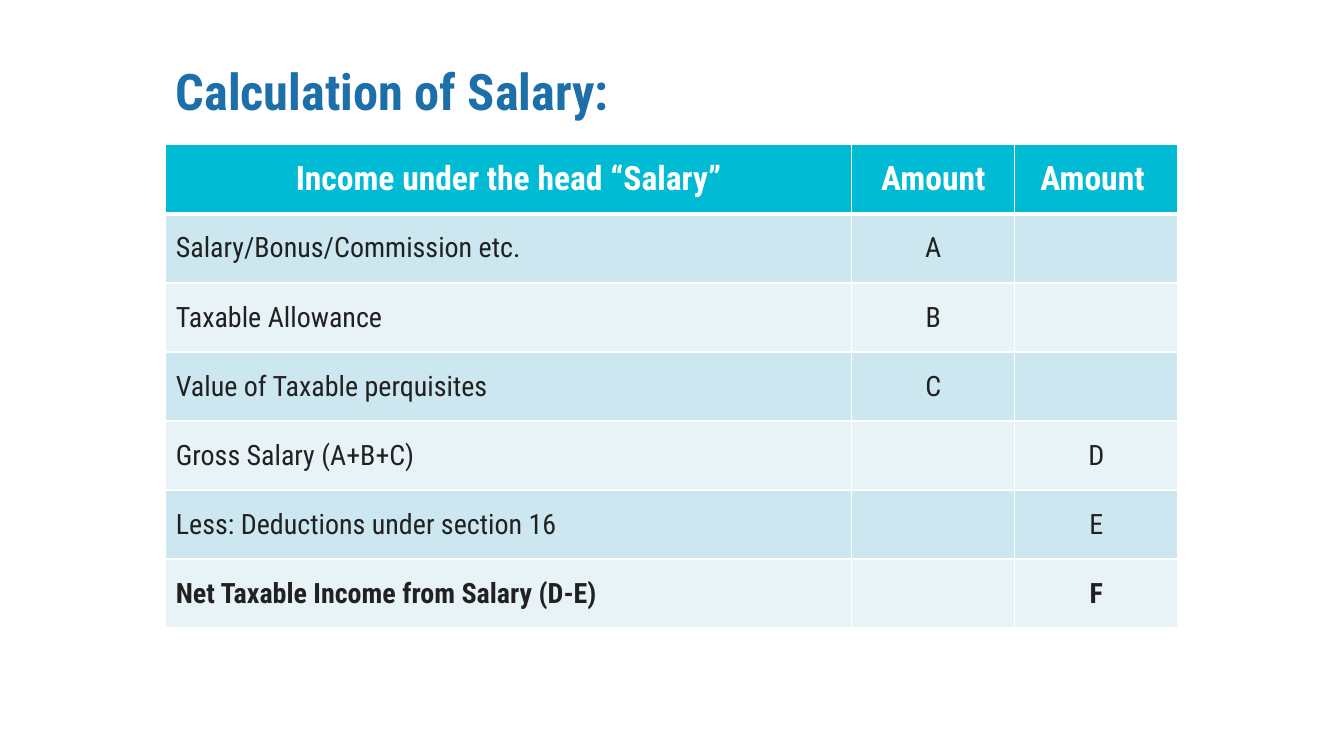
from lxml.etree import SubElement
from pptx import Presentation
from pptx.dml.color import RGBColor
from pptx.enum.text import MSO_ANCHOR, PP_ALIGN
from pptx.oxml.ns import qn
from pptx.util import Pt


def paint(target, color):
    target.solid()
    target.fore_color.rgb = RGBColor.from_string(color)


def style(para, size, color, bold):
    para.font.name = "Roboto Condensed"
    para.font.size = Pt(size)
    para.font.bold = bold
    paint(para.font.fill, color)


deck = Presentation()
deck.slide_width, deck.slide_height = Pt(960), Pt(540)
slide = deck.slides.add_slide(deck.slide_layouts[6])

rows = [
    ("Income under the head “Salary”", "Amount", "Amount "),
    ("Salary/Bonus/Commission etc.", "A", ""),
    ("Taxable Allowance", "B", ""),
    ("Value of Taxable perquisites", "C", ""),
    ("Gross Salary (A+B+C)", "", "D"),
    ("Less: Deductions under section 16", "", "E"),
    ("Net Taxable Income from Salary (D-E)", "", "F"),
]
widths = [490, 116.5, 116.5]
high = 49.3
frame = slide.shapes.add_table(
    len(rows), len(widths), Pt(118.4), Pt(103.5), Pt(sum(widths)), Pt(high * len(rows)))
table = frame.table
for col, width in zip(table.columns, widths):
    col.width = Pt(width)

for r, row in enumerate(rows):
    table.rows[r].height = Pt(high)
    head = r == 0
    for c, text in enumerate(row):
        cell = table.cell(r, c)
        cell.vertical_anchor = MSO_ANCHOR.MIDDLE
        props = cell._tc.get_or_add_tcPr()
        for side in ("lnL", "lnR", "lnT", "lnB"):
            thick = (head and side == "lnB") or (r == 1 and side == "lnT")
            line = SubElement(props, qn("a:" + side), w=str(Pt(3 if thick else 1)))
            fill = SubElement(line, qn("a:solidFill"))
            SubElement(fill, qn("a:srgbClr"), val="FFFFFF")
        paint(cell.fill, "00BBD3" if head else "CCE7EF" if r % 2 else "E7F3F7")
        cell.text = text
        para = cell.text_frame.paragraphs[0]
        para.alignment = PP_ALIGN.CENTER if head or c else PP_ALIGN.LEFT
        style(para, 24 if head else 20, "FFFFFF" if head else "212121",
              head or r == len(rows) - 1)

title = slide.shapes.add_textbox(Pt(118.4), Pt(43.2), Pt(756), Pt(54)).text_frame
title.word_wrap = True
title.text = "Calculation of Salary:"
para = title.paragraphs[0]
para.line_spacing = 0.94
style(para, 36, "1D6FA9", True)

deck.save("out.pptx")
